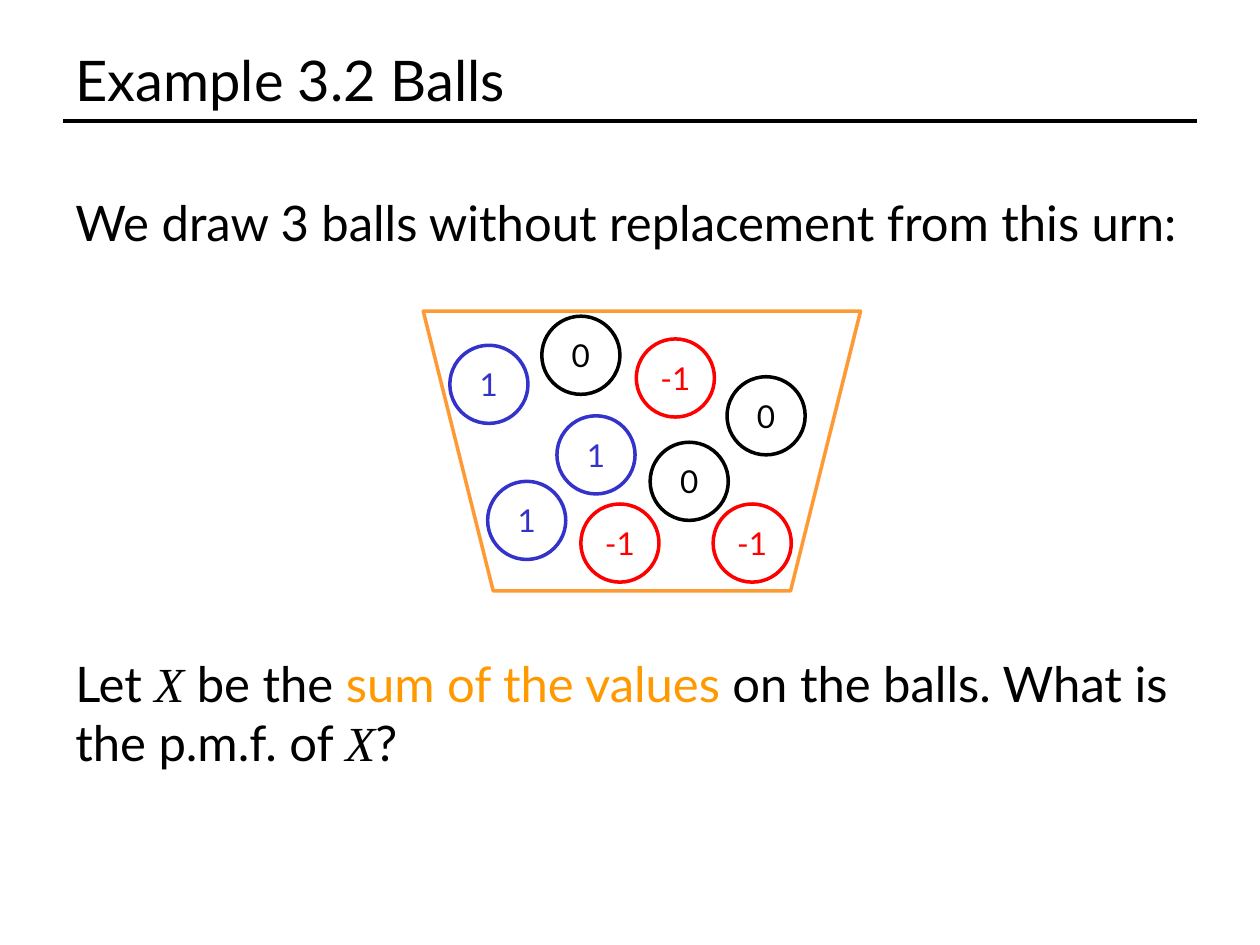
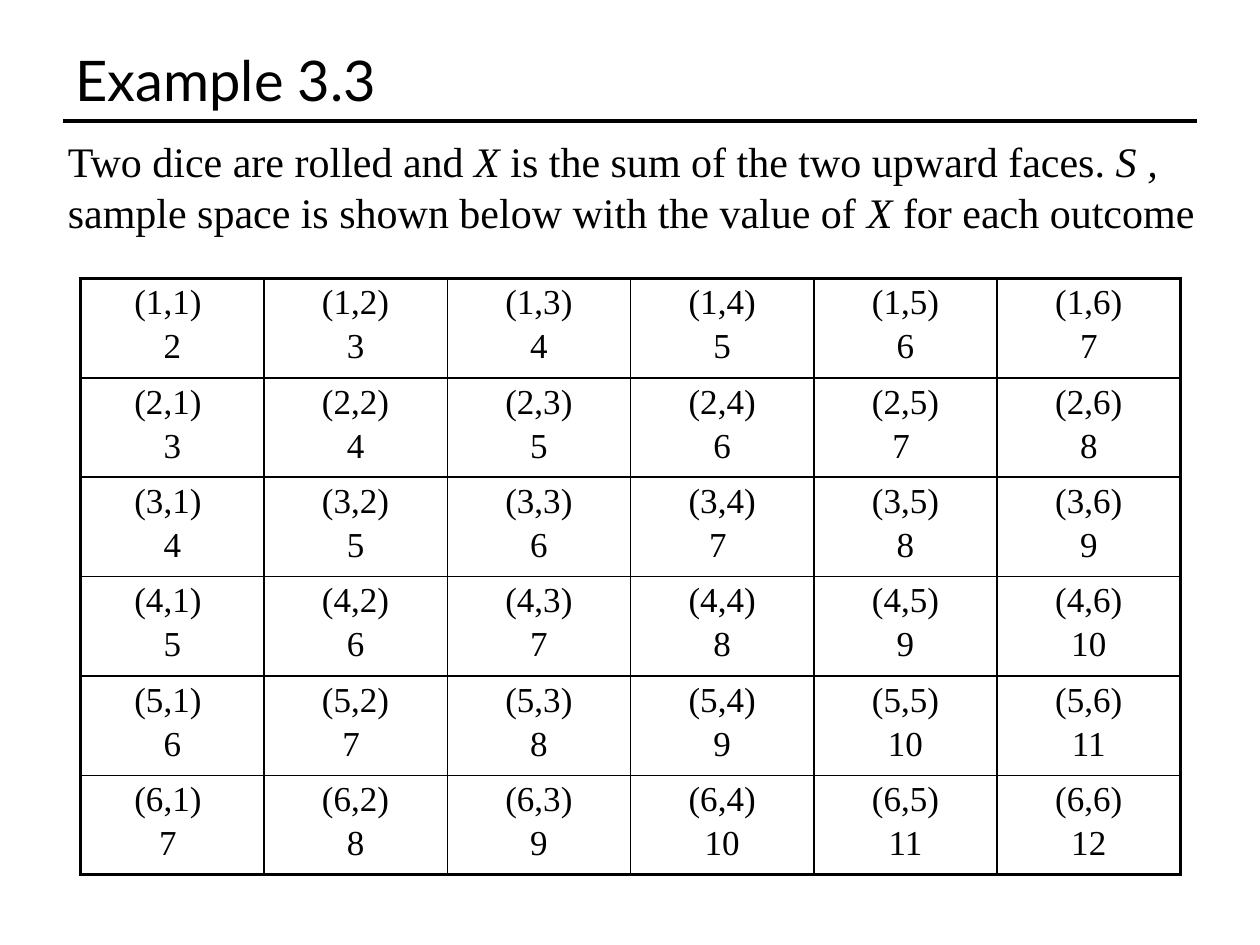
from lxml import etree
from pptx import Presentation
from pptx import util as u
from pptx.dml import color as c
from pptx.enum import shapes, text
from pptx.oxml import ns

SANS, SERIF = "Lato", "Times New Roman"
BLACK, RED, BLUE = "000000", "FF0000", "3333CC"
URN_EDGE, HIGHLIGHT = "FF9933", "FF9900"


def rgb(value):
    return c.RGBColor.from_string(value)


def write(para, words, size=28, font=SANS, ink=BLACK, italic=False):
    span = para.add_run()
    span.text = words
    span.font.size = u.Pt(size)
    span.font.name = font
    span.font.italic = italic
    span.font.color.rgb = rgb(ink)


deck = Presentation()
deck.slide_width, deck.slide_height = u.Inches(10), u.Inches(7.5)

# Wording: each text is a place and its spans
variable = {"font": SERIF, "italic": True}
plain_serif = {"font": SERIF, "size": 24}
italic_serif = {**plain_serif, "italic": True}
contents = [
    ("Example 3.2 Balls", [
        ((0.5, 1.48, 9, 0.57), [
            ("We draw 3 balls without replacement from this urn:", {})]),
        ((0.5, 5.14, 9, 1.04), [
            ("Let ", {}), ("X", variable), (" be the ", {}),
            ("sum of the values", {"ink": HIGHLIGHT}),
            (" on the balls. What is the p.m.f. of ", {}),
            ("X", variable), ("?", {})]),
    ]),
    ("Example 3.3", [
        ((0.44, 1.03, 9.18, 0.97), [
            ("Two dice are rolled and ", plain_serif), ("X ", italic_serif),
            ("is the sum of the two upward faces. ", plain_serif),
            ("S , ", italic_serif),
            ("sample space is shown below with the value of ", plain_serif),
            ("X ", italic_serif), ("for each outcome", plain_serif)]),
    ]),
]

# Title, rule and texts of both slides
pages = []
for title, texts in contents:
    page = deck.slides.add_slide(deck.slide_layouts[6])
    pages.append(page)
    rule = page.shapes.add_connector(
        shapes.MSO_CONNECTOR.STRAIGHT,
        u.Inches(0.5), u.Inches(0.96), u.Inches(9.5), u.Inches(0.96))
    rule.line.color.rgb = rgb(BLACK)
    rule.line.width = u.Pt(2)
    etree.SubElement(rule._element.spPr, ns.qn("a:effectLst"))

    heading = ((0.5, 0.3, 9, 0.66), [(title, {"size": 32})])
    for place, spans in [heading, *texts]:
        box = page.shapes.add_textbox(*map(u.Inches, place))
        frame = box.text_frame
        frame.word_wrap = True
        if place == heading[0]:
            frame.vertical_anchor = text.MSO_ANCHOR.MIDDLE
        for words, style in spans:
            write(frame.paragraphs[0], words, **style)

urn_page, dice_page = pages

# Urn: a trapezoid with the wide side up
urn = urn_page.shapes.add_shape(
    shapes.MSO_SHAPE.TRAPEZOID,
    u.Inches(3.36), u.Inches(2.47), u.Inches(3.47), u.Inches(2.22))
urn._element.spPr.xfrm.set("flipV", "1")
urn.shadow.inherit = False
urn.fill.background()
urn.line.color.rgb = rgb(URN_EDGE)
urn.line.width = u.Pt(2)

# Balls, grouped by value
balls = [
    ("1", BLUE, [(3.57, 2.74), (3.87, 3.82), (4.42, 3.3)]),
    ("-1", RED, [(4.61, 4), (5.05, 2.69), (5.66, 4)]),
    ("0", BLACK, [(5.77, 2.99), (5.16, 3.51), (4.3, 2.51)]),
]
diameter = u.Inches(0.62)
for value, ink, places in balls:
    for left, top in places:
        ball = urn_page.shapes.add_shape(
            shapes.MSO_SHAPE.OVAL, u.Inches(left), u.Inches(top),
            diameter, diameter)
        ball.shadow.inherit = False
        ball.fill.background()
        ball.line.color.rgb = rgb(ink)
        ball.line.width = u.Pt(2)
        ball.text_frame.vertical_anchor = text.MSO_ANCHOR.MIDDLE
        para = ball.text_frame.paragraphs[0]
        para.alignment = text.PP_ALIGN.CENTER
        write(para, value, size=18, ink=ink)

# Sample space: every pair of faces over its sum
faces = 6
table = dice_page.shapes.add_table(
    faces, faces, u.Inches(0.64), u.Inches(2.21),
    u.Inches(8.73), u.Inches(4.63)).table
table.first_row = table.horz_banding = False
spaced_sevens = {(2, 5), (3, 4), (5, 2), (6, 1)}
for first in range(1, faces + 1):
    for second in range(1, faces + 1):
        cell = table.cell(first - 1, second - 1)
        cell.margin_top = cell.margin_bottom = u.Inches(0.04)

        # Thick outer border, thin inner lines
        outer = {"a:lnL": second == 1, "a:lnR": second == faces,
                 "a:lnT": first == 1, "a:lnB": first == faces}
        for side, thick in outer.items():
            edge = etree.SubElement(
                cell._tc.get_or_add_tcPr(), ns.qn(side),
                w=str(u.Pt(2.25 if thick else 1)))
            fill = etree.SubElement(edge, ns.qn("a:solidFill"))
            etree.SubElement(fill, ns.qn("a:srgbClr"), val=BLACK)
        cell.fill.background()

        pair = f"({first},{second})" + (" " if second == 1 else "")
        total = str(first + second)
        if (first, second) in spaced_sevens:
            total += " "
        pair_para = cell.text_frame.paragraphs[0]
        total_para = cell.text_frame.add_paragraph()
        total_para.space_before = u.Pt(3)
        for para, words in [(pair_para, pair), (total_para, total)]:
            para.alignment = text.PP_ALIGN.CENTER
            write(para, words, size=20, font=SERIF)

deck.save("out.pptx")
